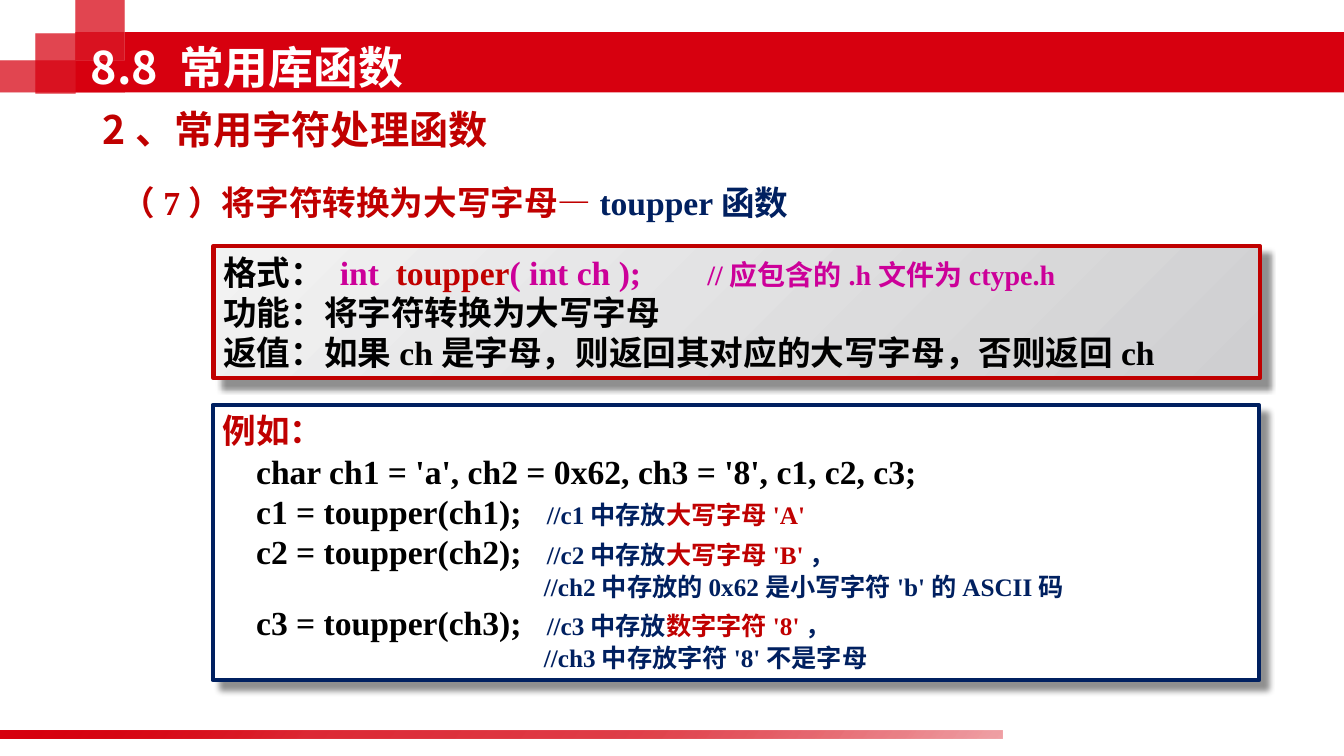
import pptx
import pptx.dml.color
import pptx.enum.shapes
import pptx.enum.text
import pptx.oxml
import pptx.oxml.ns
import pptx.util
from pptx.dml.color import RGBColor
from pptx.util import Cm

BRAND = RGBColor(0xD7, 0x00, 0x0F)
RED = RGBColor(0xC0, 0x00, 0x00)
NAVY = RGBColor(0x00, 0x20, 0x60)
MAGENTA = RGBColor(0xCC, 0x00, 0x99)
BLACK = RGBColor(0x00, 0x00, 0x00)
WHITE = RGBColor(0xFF, 0xFF, 0xFF)
SILVER = RGBColor(0xCF, 0xCF, 0xD1)
PALE = RGBColor(0xF2, 0xF2, 0xF2)

SERIF, SANS = "Times New Roman", "Noto Sans CJK SC"
TOP = pptx.enum.text.MSO_ANCHOR.TOP
MIDDLE = pptx.enum.text.MSO_ANCHOR.MIDDLE
qn = pptx.oxml.ns.qn


def add_child(parent, tag, **attributes):
    child = parent.makeelement(qn(tag), {key: str(value) for key, value in attributes.items()})
    parent.append(child)
    return child


class SlideBuilder:
    """Holds the shared style and the slide being built."""

    def __init__(self, slide):
        self.slide = slide

    def rectangle(self, place, color, alpha=100):
        box = self.slide.shapes.add_shape(
            pptx.enum.shapes.MSO_SHAPE.RECTANGLE, *map(Cm, place))
        box.shadow.inherit = False
        box.line.fill.background()
        box.fill.solid()
        box.fill.fore_color.rgb = color
        if alpha < 100:
            tone = box.element.spPr.find(".//" + qn("a:srgbClr"))
            add_child(tone, "a:alpha", val=alpha * 1000)
        return box

    def gradient(self, box, angle, stops):
        box.fill.gradient()
        box.fill.gradient_angle = 360 - angle
        stop_list = box.element.spPr.find(".//" + qn("a:gsLst"))
        for stop in list(stop_list):
            stop_list.remove(stop)
        for position, color, alpha in stops:
            stop = add_child(stop_list, "a:gs", pos=position * 1000)
            tone = add_child(stop, "a:srgbClr", val=color)
            add_child(tone, "a:alpha", val=alpha * 1000)

    def panel(self, place, border):
        """White framed box with a drop shadow."""
        box = self.rectangle(place, WHITE)
        box.line.color.rgb = border
        box.line.width = pptx.util.Pt(3)
        effects = box.element.spPr.find(qn("a:effectLst"))
        shadow = add_child(effects, "a:outerShdw", blurRad=50800, dist=106680,
                           dir=45 * 60000, algn="tl", rotWithShape=0)
        add_child(add_child(shadow, "a:srgbClr", val=BLACK), "a:alpha", val=43000)
        return box

    def text_box(self, place):
        return self.slide.shapes.add_textbox(*map(Cm, place))

    def title(self, place):
        box = self.slide.shapes.title
        box.element.getparent().append(box.element)
        for name, value in zip(("left", "top", "width", "height"), place):
            setattr(box, name, Cm(value))
        return box

    def fill_text(self, box, paragraphs, font=SERIF, anchor=TOP):
        """Each paragraph is (layout dict, [(text, size, color), ...])."""
        frame = box.text_frame
        settings = {"word_wrap": True, "vertical_anchor": anchor,
                    "auto_size": pptx.enum.text.MSO_AUTO_SIZE.NONE}
        for name, value in settings.items():
            setattr(frame, name, value)
        for number, (layout, spans) in enumerate(paragraphs):
            para = frame.add_paragraph() if number else frame.paragraphs[0]
            para.alignment = pptx.enum.text.PP_ALIGN.LEFT
            properties = para._p.get_or_add_pPr()
            for name in ("marL", "indent"):
                if name in layout:
                    properties.set(name, str(Cm(layout[name])))
            if "tab" in layout:
                add_child(add_child(properties, "a:tabLst"), "a:tab",
                          pos=Cm(layout["tab"]), algn="l")
            for text, size, color in spans:
                span = para.add_run()
                span.text = text
                style = {"name": font, "size": pptx.util.Pt(size), "bold": True}
                for name, value in style.items():
                    setattr(span.font, name, value)
                span.font.color.rgb = color
                add_child(span._r.get_or_add_rPr(), "a:ea", typeface=SANS)


def add_decoration(builder):
    # Translucent squares and fading footer strip, layered twice
    squares = [(0, 1.52, 3.15, 0.81), (0.89, 0.84, 1.02, 1.52),
               (1.9, -0.05, 1.24, 1.57), (1.9, 0.81, 1.24, 0.71)]
    fade = [(0, BRAND, 100), (31, BRAND, 60), (64, BRAND, 50), (100, BRAND, 20)]
    for _ in range(2):
        for place in squares:
            builder.rectangle(place, BRAND, 48)
        strip = builder.rectangle((-0.05, 18.41, 25.32, 0.2), BRAND)
        builder.gradient(strip, 40, fade)
    # Title band
    builder.rectangle((3.15, 0.81, 30.72, 1.52), BRAND)
    builder.rectangle((1.9, 1.52, 1.25, 0.81), BRAND)


def add_content(builder):
    # Function heading
    builder.fill_text(builder.text_box((2.82, 4.45, 21.97, 1.27)), [
        ({}, [("（7）将字符转换为大写字母—", 24, RED), ("toupper函数", 24, NAVY)])])

    # Function format
    usage = builder.panel((5.38, 6.2, 26.37, 3.33), RED)
    builder.gradient(usage, 225, [(0, SILVER, 100), (100, PALE, 100)])
    builder.fill_text(usage, [
        ({"tab": 12.2}, [("格式： ", 24, BLACK), ("int  ", 24, MAGENTA),
                         ("toupper", 24, RED), ("( int ch );\t", 24, MAGENTA),
                         ("//应包含的.h文件为ctype.h", 20, MAGENTA)]),
        ({}, [("功能：将字符转换为大写字母", 24, BLACK)]),
        ({"marL": 2.74, "indent": -2.74},
         [("返值：如果ch是字母，则返回其对应的大写字母，否则返回ch", 24, BLACK)]),
    ], anchor=MIDDLE)

    # Code example: calls with a tabbed comment, then indented remarks
    lines = [({}, [("例如：", 24, RED)]),
             ({}, [("    char ch1 = 'a', ch2 = 0x62, ch3 = '8', c1, c2, c3;", 24, BLACK)])]
    calls = [("1", "大写字母'A'", "", ""),
             ("2", "大写字母'B'", "，", "//ch2中存放的0x62是小写字符'b'的ASCII码"),
             ("3", "数字字符'8'", "，", "//ch3中存放字符'8'不是字母")]
    for number, result, comma, remark in calls:
        spans = [(f"    c{number} = toupper(ch{number});\t", 24, BLACK),
                 (f"//c{number}中存放", 18, NAVY), (result, 18, RED)]
        if comma:
            spans.append((comma, 18, NAVY))
        lines.append(({"tab": 8.17}, spans))
        if remark:
            lines.append(({"marL": 8.1, "indent": 0}, [(remark, 18, NAVY)]))
    builder.fill_text(builder.panel((5.36, 10.21, 26.37, 6.93), NAVY), lines)

    # Section heading and title
    builder.fill_text(builder.text_box((2.34, 2.51, 11.2, 1.45)),
                      [({}, [("2、常用字符处理函数", 28, RED)])], SANS, MIDDLE)
    builder.fill_text(builder.title((2.03, 0.84, 22.61, 1.7)),
                      [({}, [("8.8 常用库函数", 32, WHITE)])], SANS, MIDDLE)


def main():
    deck = pptx.Presentation()
    deck.slide_width, deck.slide_height = Cm(33.87), Cm(19.05)
    page = deck.slides.add_slide(deck.slide_layouts[5])
    builder = SlideBuilder(page)
    add_decoration(builder)
    add_content(builder)
    deck.save("out.pptx")


if __name__ == "__main__":
    main()
